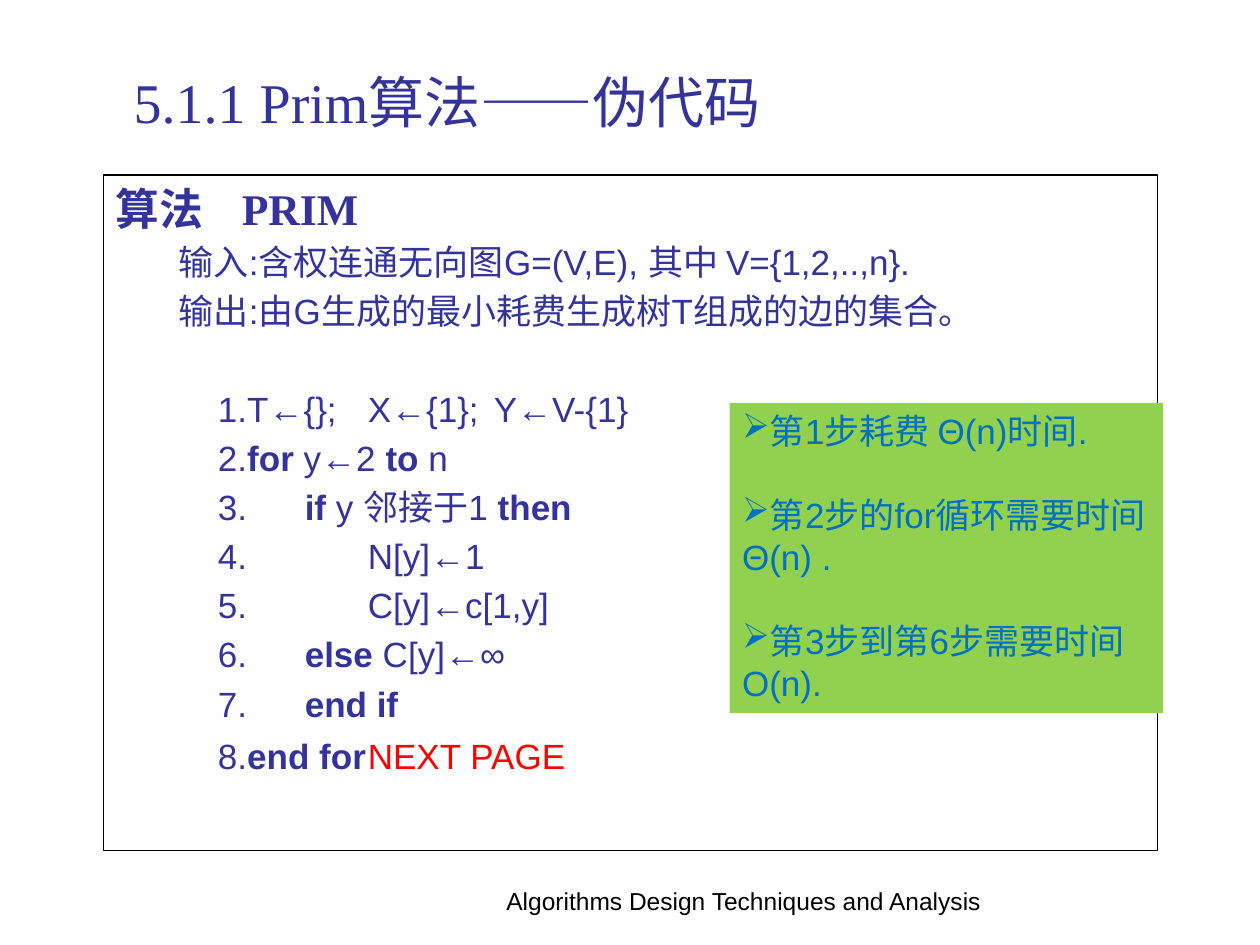
from pptx import Presentation
from pptx.dml.color import RGBColor as Rgb
from pptx.enum.shapes import MSO_SHAPE as Kind
from pptx.enum.text import MSO_ANCHOR as Anchor, MSO_AUTO_SIZE as Fit, PP_ALIGN as Align
from pptx.oxml.ns import qn
from pptx.util import Cm, Pt
from lxml.etree import SubElement as Sub

# Content: words between asterisks are bold
TITLE = "5.1.1 Prim算法——伪代码"
HEAD = "*算法\tPRIM*"
SPECS = [
    "输入:含权连通无向图G=(V,E), 其中 V={1,2,..,n}.",
    "输出:由G生成的最小耗费生成树T组成的边的集合。",
]
CODE = [
    "1.T←{};\tX←{1};\tY←V-{1}",
    "2.*for* y←2 *to* n",
    "3.\t*if* y 邻接于1 *then*",
    "4.\t\tN[y]←1",
    "5.\t\tC[y]←c[1,y]",
    "6.\t*else* C[y]←∞",
    "7.\t*end if*",
    "8.*end for*",
]
NEXT = "\tNEXT PAGE"
NOTES = [
    "第1步耗费 Θ(n)时间.",
    "第2步的for循环需要时间Θ(n) .",
    "第3步到第6步需要时间O(n).",
]
FOOT = "Algorithms Design Techniques and Analysis"

# Formats; tab stops in cm from the text edge
NAVY, BLUE, RED, BLACK = "333399", "0070C0", "FF0000", "000000"
WHITE, GREEN = "FFFFFF", "92D050"
ROMAN = {"name": "Times New Roman", "size": Pt(32)}
BOLD = {"name": "Times New Roman", "size": Pt(25)}
SANS = {"name": "Arial", "size": Pt(20)}
SMALL = {"name": "Arial", "size": Pt(14)}
STEPS, SETS, LAST = (4.6, 7.14), (5.04, 8.06), (15.79,)
GAP, LINE = 4, 24


def paint(part, color):
    part.solid()
    part.fore_color.rgb = Rgb.from_string(color)


def place(shape, *box):
    for key, val in zip(("left", "top", "width", "height"), box):
        setattr(shape, key, Cm(val))


def write(par, text, form, color):
    for i, bit in enumerate(text.split("*")):
        if bit:
            run = par.add_run()
            run.text = bit
            for key, val in {**form, "bold": i % 2 == 1}.items():
                setattr(run.font, key, val)
            paint(run.font.fill, color)


def setup(par, first=0, stops=(), mark=None, gap=0):
    props = par._p.get_or_add_pPr()
    props.set("marL", "0")
    props.set("indent", str(Cm(first)))
    if mark:
        Sub(props, qn("a:buChar"), char=mark)
    else:
        Sub(props, qn("a:buNone"))
    if stops:
        tabs = Sub(props, qn("a:tabLst"))
        for stop in stops:
            Sub(tabs, qn("a:tab"), pos=str(Cm(stop)), algn="l")
    par.alignment = Align.LEFT
    par.space_before = Pt(gap)


def frame(shape, anchor=Anchor.TOP):
    text = shape.text_frame
    for key, val in {"word_wrap": True, "auto_size": Fit.NONE,
                     "vertical_anchor": anchor}.items():
        setattr(text, key, val)
    return text


deck = Presentation()
deck.slide_width, deck.slide_height = Cm(25.4), Cm(19.05)
slide = deck.slides.add_slide(deck.slide_layouts[1])
title, body = slide.placeholders

# Title
place(title, 2.44, 0.76, 21.87, 2.57)
par = frame(title, Anchor.MIDDLE).paragraphs[0]
setup(par)
write(par, TITLE, ROMAN, NAVY)

# Pseudocode
place(body, 2.08, 3.53, 21.26, 13.61)
paint(body.fill, WHITE)
paint(body.line.fill, BLACK)
body.line.width = Pt(0.75)
text = frame(body)
par = text.paragraphs[0]
setup(par, stops=(2.36,))
write(par, HEAD, BOLD, NAVY)
for spec in SPECS:
    par = text.add_paragraph()
    par.level = 1
    setup(par, 1.27, gap=GAP)
    write(par, spec, SANS, NAVY)
for i, line in enumerate(CODE):
    par = text.add_paragraph()
    par.level = 1
    start, end = i == 0, i == len(CODE) - 1
    stops = SETS if start else LAST if end else STEPS
    extra = LINE + GAP if start else 2 if end else 0
    setup(par, 2.06, stops, gap=GAP + extra)
    write(par, line, SANS, NAVY)
write(par, NEXT, SANS, RED)

# Cost notes
card = slide.shapes.add_shape(Kind.RECTANGLE, 0, 0, 0, 0)
place(card, 14.71, 8.13, 8.74, 6.25)
card.shadow.inherit = False
paint(card.fill, GREEN)
card.line.fill.background()
text = frame(card)
for i, note in enumerate(NOTES):
    par = text.add_paragraph() if i else text.paragraphs[0]
    setup(par, mark="➢", gap=LINE if i else 0)
    write(par, note, SANS, BLUE)

# Footer
foot = slide.shapes.add_textbox(0, 0, 0, 0)
place(foot, 9.7, 17.73, 10.59, 1.19)
par = frame(foot).paragraphs[0]
par.alignment = Align.CENTER
write(par, FOOT, SMALL, BLACK)

deck.save("out.pptx")
